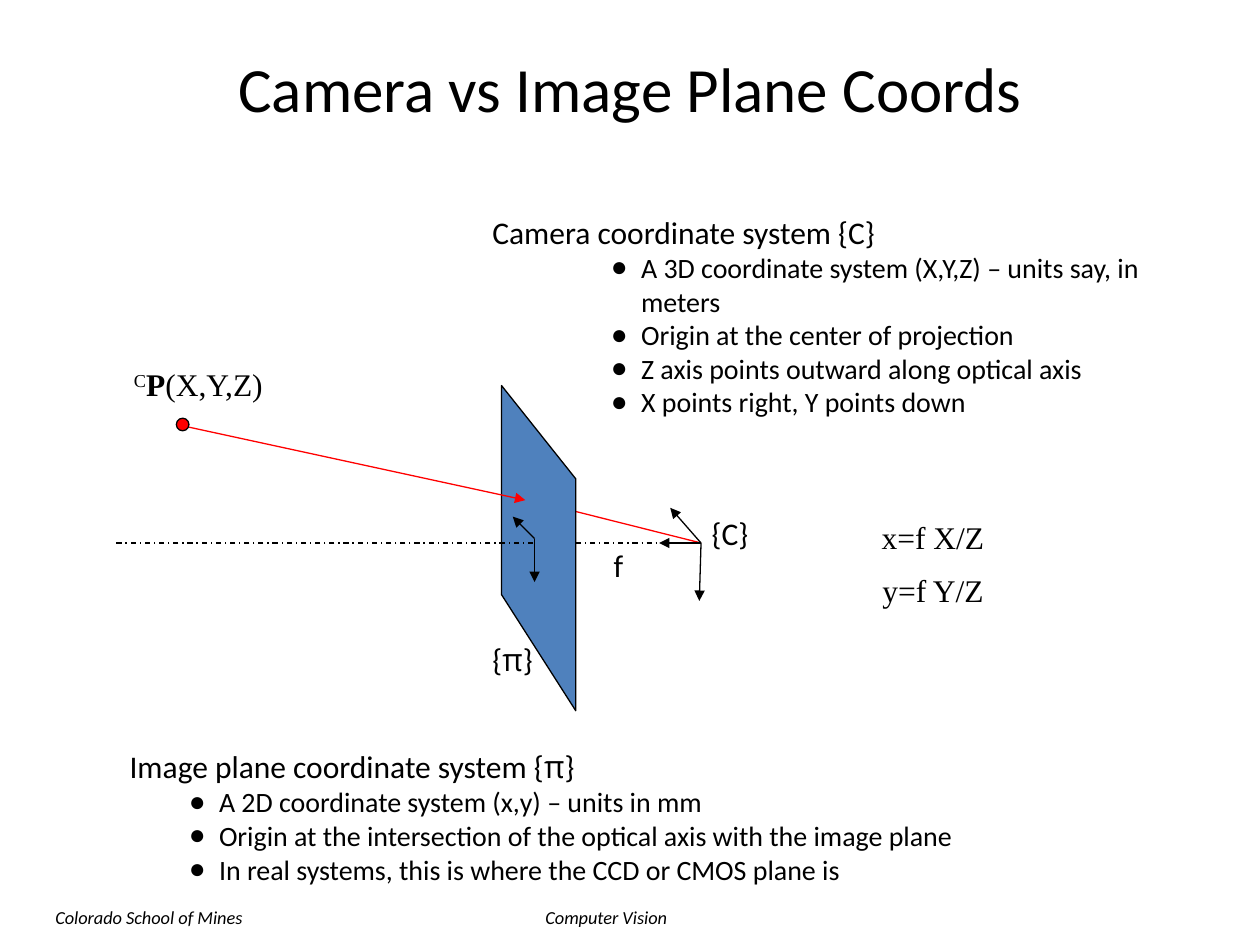
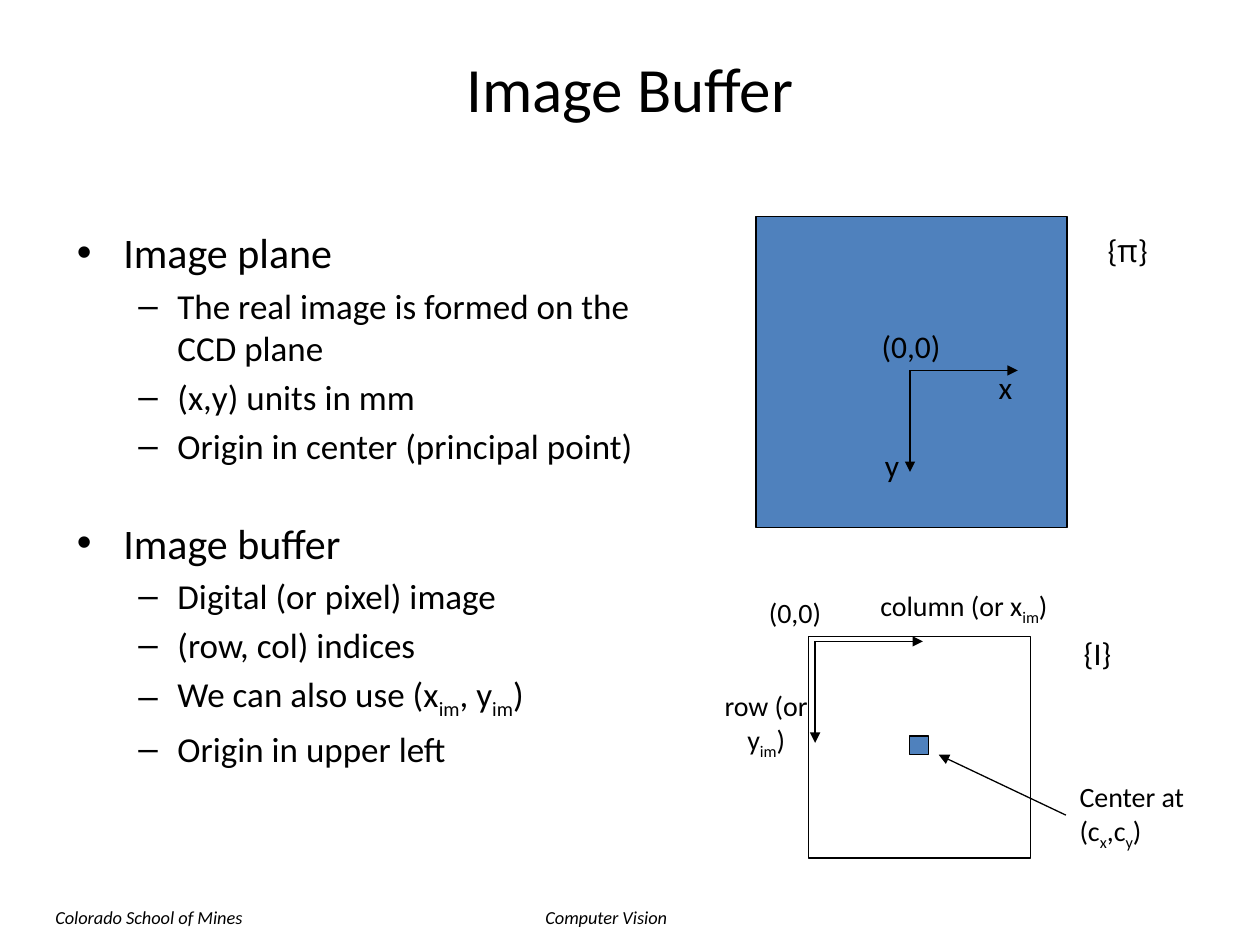
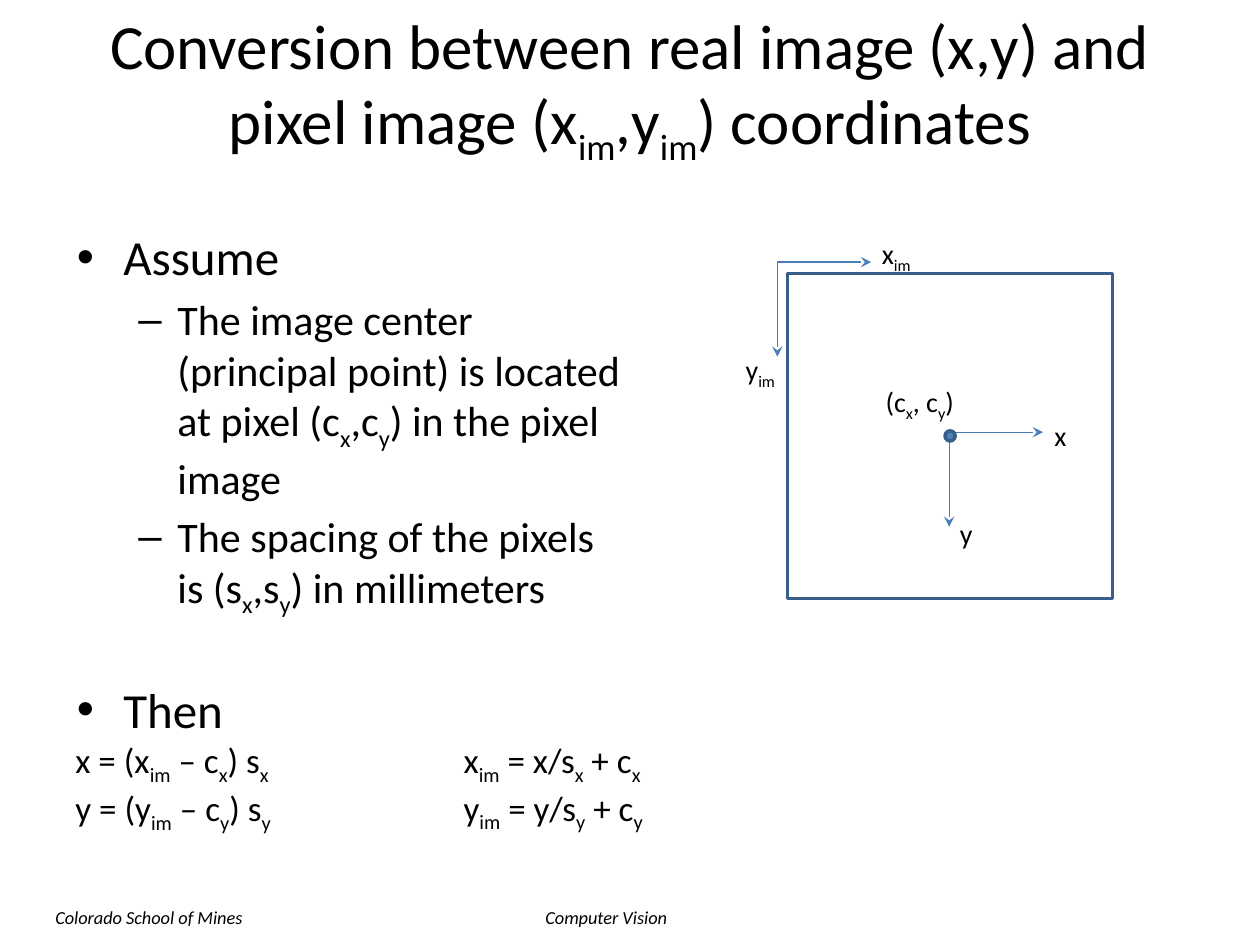
import dataclasses
import itertools

import pptx
import pptx.dml.color
import pptx.enum.dml
import pptx.enum.shapes
import pptx.enum.text
import pptx.oxml.ns
import lxml.etree

Pt = pptx.util.Pt
MSO_SHAPE = pptx.enum.shapes.MSO_SHAPE
CENTER = pptx.enum.text.PP_ALIGN.CENTER
DASH_DOT = pptx.enum.dml.MSO_LINE.DASH_DOT

BLACK, WHITE, RED = "000000", "FFFFFF", "FF0000"
BLUE, BLUE_EDGE, BLUE_AXIS = "4F81BD", "395E89", "4A7EBB"
SANS, SERIF, GREEK = "Calibri", "Times New Roman", "Open Sans"
THIN = 0.75

# Bullet character, left margin, hanging indent
TOPIC = ("•", 27.4, 26.6)
DASH = ("–", 58.3, 22.3)
DOT = ("●", 51.1, 17.3)
DEEP_DOT = ("●", 85, 17.3)

BASELINES = {"~": "-25000", "^": "30000"}


@dataclasses.dataclass
class Para:
    text: str
    size: float
    bullet: tuple = None
    before: float = 0


def rgb(color):
    return pptx.dml.color.RGBColor.from_string(color)


def add_xml(parent, tag, **attrs):
    return lxml.etree.SubElement(parent, pptx.oxml.ns.qn(tag), attrs)


def split_runs(text):
    """Yield (text, marks, is_greek); ~ toggles subscript, ^ superscript, * bold."""
    marks, styled = frozenset(), []
    for ch in text:
        if ch in "~^*":
            marks = marks ^ {ch}
        else:
            styled.append((ch, marks, ch == "π"))
    for (marks, greek), group in itertools.groupby(styled, lambda item: item[1:]):
        yield "".join(item[0] for item in group), marks, greek


class Deck:
    def __init__(self):
        self.prs = pptx.Presentation()
        self.prs.slide_width, self.prs.slide_height = Pt(720), Pt(540)
        self.s = None

    def new_slide(self, title):
        self.s = self.prs.slides.add_slide(self.prs.slide_layouts[6])
        self.label("Computer Vision", 304.6, 514.1, 100.8, 19.4, size=10.5, italic=True)
        self.label("Colorado School of Mines", 24.5, 514.1, 145.4, 19.4, size=10.5, italic=True)
        self.label(title, 36, 21.6, 648, 56.2, size=36, align=CENTER,
                   anchor=pptx.enum.text.MSO_ANCHOR.MIDDLE)

    def text(self, paras, x, y, w, h, font=SANS, align=None, anchor=None, italic=None):
        tf = self.s.shapes.add_textbox(Pt(x), Pt(y), Pt(w), Pt(h)).text_frame
        tf.word_wrap = True
        tf.vertical_anchor = anchor
        for i, para in enumerate(paras):
            p = tf.add_paragraph() if i else tf.paragraphs[0]
            p.alignment = align
            if para.before:
                p.space_before = Pt(para.before)
            if para.bullet:
                self.set_bullet(p, *para.bullet)
            for words, marks, greek in split_runs(para.text):
                r = p.add_run()
                r.text = words
                r.font.size = Pt(para.size)
                r.font.name = GREEK if greek else font
                r.font.color.rgb = rgb(BLACK)
                r.font.italic = italic
                r.font.bold = "*" in marks
                for mark in marks & BASELINES.keys():
                    r.font._element.set("baseline", BASELINES[mark])

    def label(self, text, x, y, w, h=28.8, size=18, **style):
        self.text([Para(text, size)], x, y, w, h, **style)

    def set_bullet(self, p, char, left, hanging):
        pPr = p._p.get_or_add_pPr()
        pPr.set("marL", str(Pt(left)))
        pPr.set("indent", str(-Pt(hanging)))
        add_xml(pPr, "a:buFont", typeface="Arial")
        add_xml(pPr, "a:buChar", char=char)

    def paint(self, sp, fill, line, width):
        sp.shadow.inherit = False
        if fill:
            sp.fill.solid()
            sp.fill.fore_color.rgb = rgb(fill)
        else:
            sp.fill.background()
        sp.line.color.rgb = rgb(line)
        sp.line.width = Pt(width)

    def shape(self, kind, x, y, size, fill=None, line=BLACK, width=THIN):
        sp = self.s.shapes.add_shape(kind, Pt(x), Pt(y), Pt(size), Pt(size))
        self.paint(sp, fill, line, width)

    def polygon(self, points, fill):
        points = [(Pt(x), Pt(y)) for x, y in points]
        builder = self.s.shapes.build_freeform(*points[0])
        builder.add_line_segments(points[1:])
        self.paint(builder.convert_to_shape(), fill, BLACK, THIN)

    def line(self, x1, y1, x2, y2, color=BLACK, dash=None, head=None):
        cx = self.s.shapes.add_connector(pptx.enum.shapes.MSO_CONNECTOR.STRAIGHT,
                                         Pt(x1), Pt(y1), Pt(x2), Pt(y2))
        cx.line.color.rgb = rgb(color)
        cx.line.width = Pt(THIN)
        if dash:
            cx.line.dash_style = dash
        if head:
            add_xml(cx.line._get_or_add_ln(), "a:tailEnd", type=head)
        add_xml(cx._element.spPr, "a:effectLst")

    def arrow(self, x1, y1, x2, y2, color=BLACK, head="triangle"):
        self.line(x1, y1, x2, y2, color, head=head)

    def axes(self, x, y, dx, dy, **style):
        """Draw an x arrow to the right and a y arrow downwards."""
        self.arrow(x, y, x + dx, y, **style)
        self.arrow(x, y, x, y + dy, **style)


def camera_slide(deck):
    deck.new_slide("Camera vs Image Plane Coords")
    axis_y, plane_left, plane_right, center = 310.3, 286.6, 329, 400.6

    deck.line(plane_right, axis_y, center, axis_y, dash=DASH_DOT)
    deck.line(plane_right, 292.3, center, axis_y, RED)
    deck.polygon([(plane_left, 220.3), (plane_left, 339.8),
                  (plane_right, 406.1), (plane_right, 273.6)], BLUE)
    deck.line(304.6, axis_y, 64.8, axis_y, dash=DASH_DOT)
    deck.arrow(108, 244.1, 300.2, 285.8, RED)
    deck.shape(MSO_SHAPE.OVAL, 100.8, 239, 7.2, RED)

    for tip_x, tip_y in [(399.6, 343.4), (383, 290.2), (376.6, axis_y)]:
        deck.arrow(center, axis_y, tip_x, tip_y)
    for tip_x, tip_y in [(305.5, 332.6), (293, 295.2)]:
        deck.arrow(305.5, 307.8, tip_x, tip_y)

    deck.label("^C^*P*(X,Y,Z)", 48.2, 205.2, 130.3, font=SERIF, align=CENTER)
    deck.label("{C}", 399.6, 290.2, 64)
    deck.label("{π}", 274.3, 362.2, 64)
    deck.text([Para("x=f X/Z", 18), Para("y=f Y/Z", 18, before=9)],
              468, 292.3, 130.3, 59, font=SERIF, align=CENTER)
    deck.label("f", 334, 308.2, 38.9, align=CENTER)

    camera = ["A 3D coordinate system (X,Y,Z) – units say, in meters",
              "Origin at the center of projection",
              "Z axis points outward along optical axis",
              "X points right, Y points down"]
    plane = ["A 2D coordinate system (x,y) – units in mm",
             "Origin at the intersection of the optical axis with the image plane",
             "In real systems, this is where the CCD or CMOS plane is"]
    deck.text([Para("Camera coordinate system {C}", 18)]
              + [Para(fact, 16, DEEP_DOT) for fact in camera], 274.3, 118, 417.6, 124.6)
    deck.text([Para("Image plane coordinate system {π}", 18)]
              + [Para(fact, 16, DOT) for fact in plane], 67, 423.4, 599.8, 105)


def buffer_slide(deck):
    deck.new_slide("Image Buffer")
    plane = ["The real image is formed on the CCD plane", "(x,y) units in mm",
             "Origin in center (principal point)"]
    buffer = ["Digital (or pixel) image", "(row, col) indices",
              "We can also use (x~im~, y~im~)", "Origin in upper left"]
    paras = []
    for topic, facts, before in [("Image plane", plane, 0), ("Image buffer", buffer, 29.2)]:
        paras.append(Para(topic, 24, TOPIC, before))
        paras += [Para(fact, 20, DASH, 4) for fact in facts]
    deck.text(paras, 36, 126, 368.6, 356.4)

    deck.shape(MSO_SHAPE.RECTANGLE, 432, 123.8, 177.8, BLUE)
    deck.axes(520, 211.7, 61.6, 58)
    deck.shape(MSO_SHAPE.RECTANGLE, 462.2, 363.6, 126.7, WHITE)
    deck.axes(465.8, 366.5, 61.6, 58)

    deck.label("{π}", 612, 128.2, 64.8, 50.4, align=CENTER)
    deck.label("{I}", 603.4, 358.6, 47.5, align=CENTER)
    deck.label("x", 550.8, 206.6, 47.5, align=CENTER)
    deck.label("y", 486, 251.3, 47.5, align=CENTER)
    deck.label("(0,0)", 488.2, 183.6, 64.8, align=CENTER)
    deck.label("(0,0)", 421.9, 337, 64.8, 25.9, size=16, align=CENTER)
    deck.label("row (or y~im~)", 405.4, 390.2, 64.8, 67, size=16, align=CENTER)
    deck.label("column (or x~im~)", 474.5, 332.6, 152.6, size=16, align=CENTER)
    deck.shape(MSO_SHAPE.RECTANGLE, 519.8, 420.5, 10.8, BLUE)
    deck.label("Center at (c~x~,c~y~)", 609.8, 442.1, 79.9, 67, size=16)
    deck.arrow(609.1, 465.8, 536.4, 431.3)


def conversion_slide(deck):
    deck.new_slide("Conversion between real image (x,y) and pixel image (x~im~,y~im~) coordinates")
    deck.text([
        Para("Assume", 28, TOPIC),
        Para("The image center (principal point) is located at pixel (c~x~,c~y~) "
             "in the pixel image", 24, DASH, 4.8),
        Para("The spacing of the pixels is (s~x~,s~y~) in millimeters", 24, DASH, 4.8),
        Para("Then", 28, TOPIC, 34.9),
        Para("x = (x~im~ – c~x~) s~x~", 20),
        Para("y = (y~im~ – c~y~) s~y~", 20),
    ], 36, 126, 329.8, 356.4)

    deck.shape(MSO_SHAPE.RECTANGLE, 450, 156.2, 185.8, line=BLUE_EDGE, width=2)
    blue_stealth = {"color": BLUE_AXIS, "head": "stealth"}
    deck.axes(542.4, 247, 53.6, 54, **blue_stealth)
    deck.label("x", 595.4, 235.4, 23.8, 25.9, size=16)
    deck.label("y", 541.4, 291.6, 23.8, 25.9, size=16)
    deck.shape(MSO_SHAPE.OVAL, 540, 246.2, 5.8, BLUE, BLUE_EDGE, 2)
    deck.axes(444.2, 149.8, 53.6, 54, **blue_stealth)
    deck.label("x~im~", 496.8, 131.8, 35.3, size=16)
    deck.label("y~im~", 419, 198, 35.3, size=16)
    deck.label("(c~x~, c~y~)", 499, 216, 65.5, size=16)
    deck.text([Para("x~im~ = x/s~x~ + c~x~", 20), Para("y~im~ = y/s~y~ + c~y~", 20)],
              257.8, 418.3, 239, 115.9)


def main():
    deck = Deck()
    camera_slide(deck)
    buffer_slide(deck)
    conversion_slide(deck)
    deck.prs.save("out.pptx")


if __name__ == "__main__":
    main()
